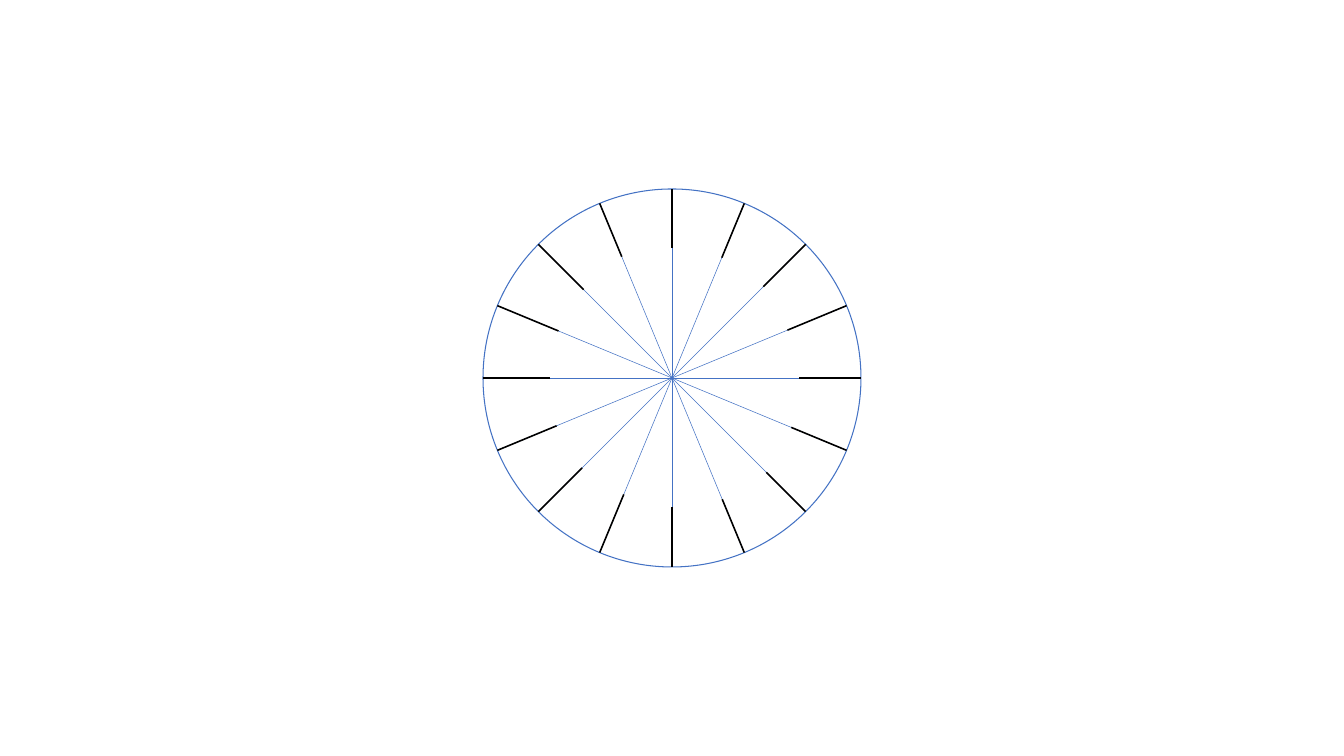
from math import cos, radians, sin

from pptx import Presentation
from pptx import util as u
from pptx.dml.color import RGBColor
from pptx.enum import shapes
from pptx.oxml.ns import qn
from lxml import etree

INNER_RADII = [124, 124, 123, 119, 121, 123, 127, 125,
               123, 120, 121, 119, 116, 117, 119, 125]

THEME = {
    "disc": RGBColor(0xFF, 0xFF, 0xFF),
    "spoke": RGBColor(0x44, 0x72, 0xC4),
    "tick": RGBColor(0, 0, 0),
    "rim_width": 1,
    "spoke_width": 0.5,
    "tick_width": 1.5,
}

WIDTH, HEIGHT = 1280.16, 720
CX, CY, RADIUS = WIDTH / 2, HEIGHT / 2, 180
STEP = 360 / len(INNER_RADII)


def polar(radius, index):
    angle = radians(index * STEP)
    return u.Pt(CX + radius * sin(angle)), u.Pt(CY - radius * cos(angle))


def add_line(group, start, end, color, width):
    ln = group.shapes.add_connector(shapes.MSO_CONNECTOR.STRAIGHT, *start, *end)
    ln.line.color.rgb = color
    ln.line.width = u.Pt(width)
    etree.SubElement(ln._element.spPr, qn("a:effectLst"))


def add_wheel(s):
    wheel = s.shapes.add_group_shape()
    sp = wheel.shapes.add_shape(
        shapes.MSO_SHAPE.OVAL, u.Pt(CX - RADIUS), u.Pt(CY - RADIUS),
        u.Pt(2 * RADIUS), u.Pt(2 * RADIUS))
    sp.shadow.inherit = False
    sp.fill.solid()
    sp.fill.fore_color.rgb = THEME["disc"]
    sp.line.color.rgb = THEME["spoke"]
    sp.line.width = u.Pt(THEME["rim_width"])
    for i in range(len(INNER_RADII) // 2):
        add_line(wheel, polar(RADIUS, i), polar(-RADIUS, i),
                 THEME["spoke"], THEME["spoke_width"])


def add_ticks(s):
    ticks = s.shapes.add_group_shape()
    for i, inner in enumerate(INNER_RADII):
        add_line(ticks, polar(inner, i), polar(RADIUS, i),
                 THEME["tick"], THEME["tick_width"])


def main():
    prs = Presentation()
    prs.slide_width, prs.slide_height = u.Pt(WIDTH), u.Pt(HEIGHT)
    s = prs.slides.add_slide(prs.slide_layouts[6])
    add_wheel(s)
    add_ticks(s)
    prs.save("out.pptx")


if __name__ == "__main__":
    main()
